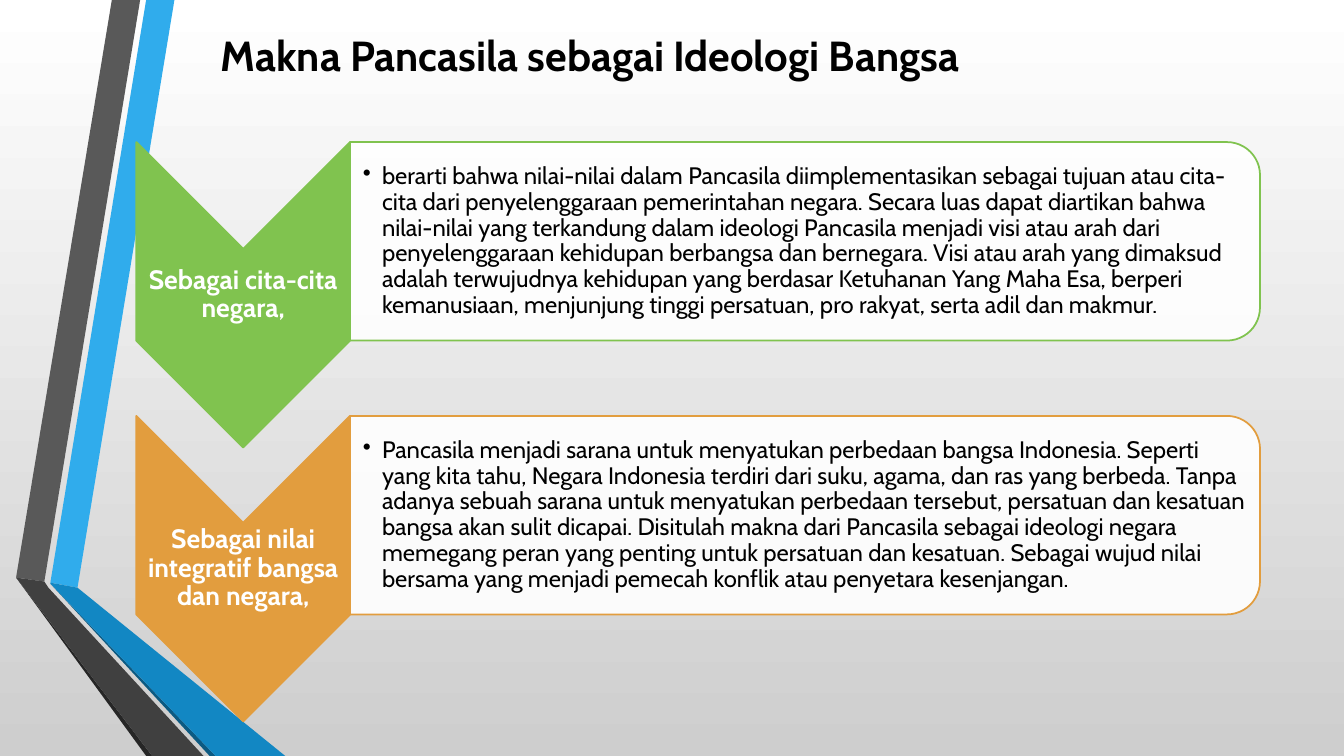
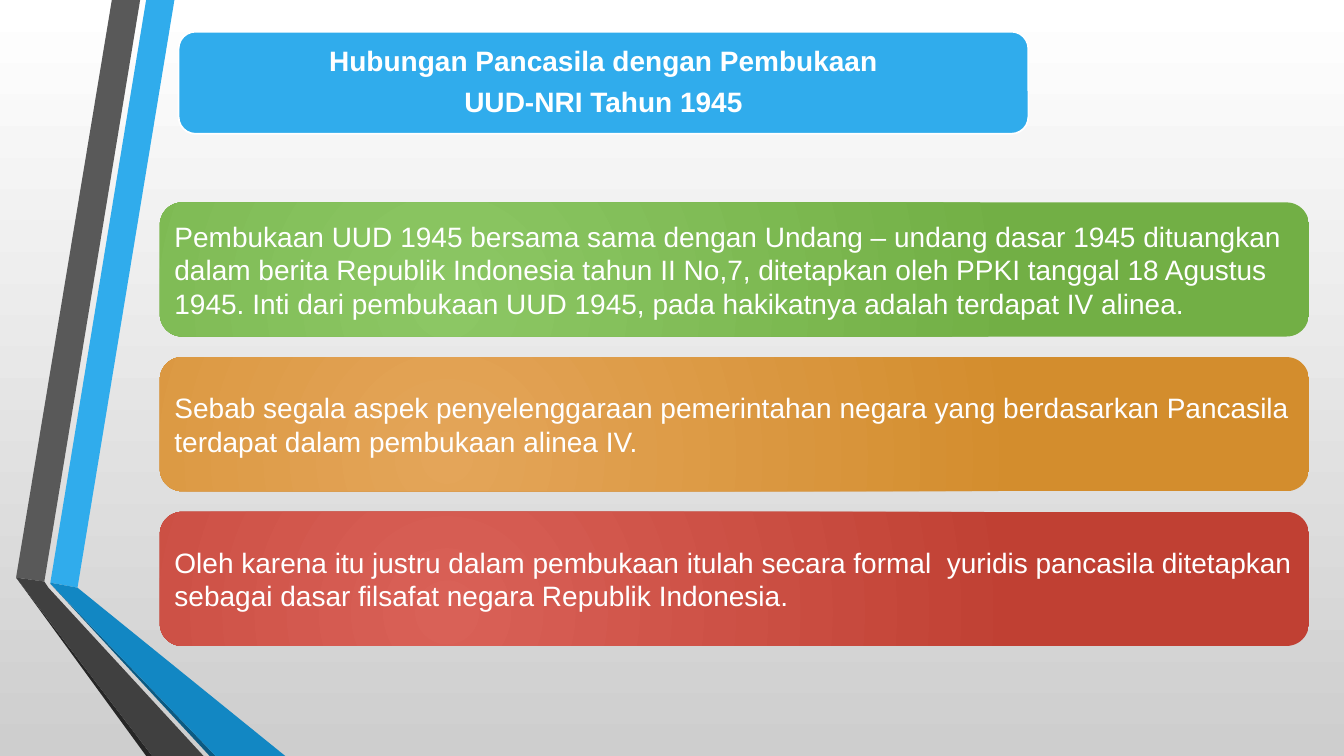
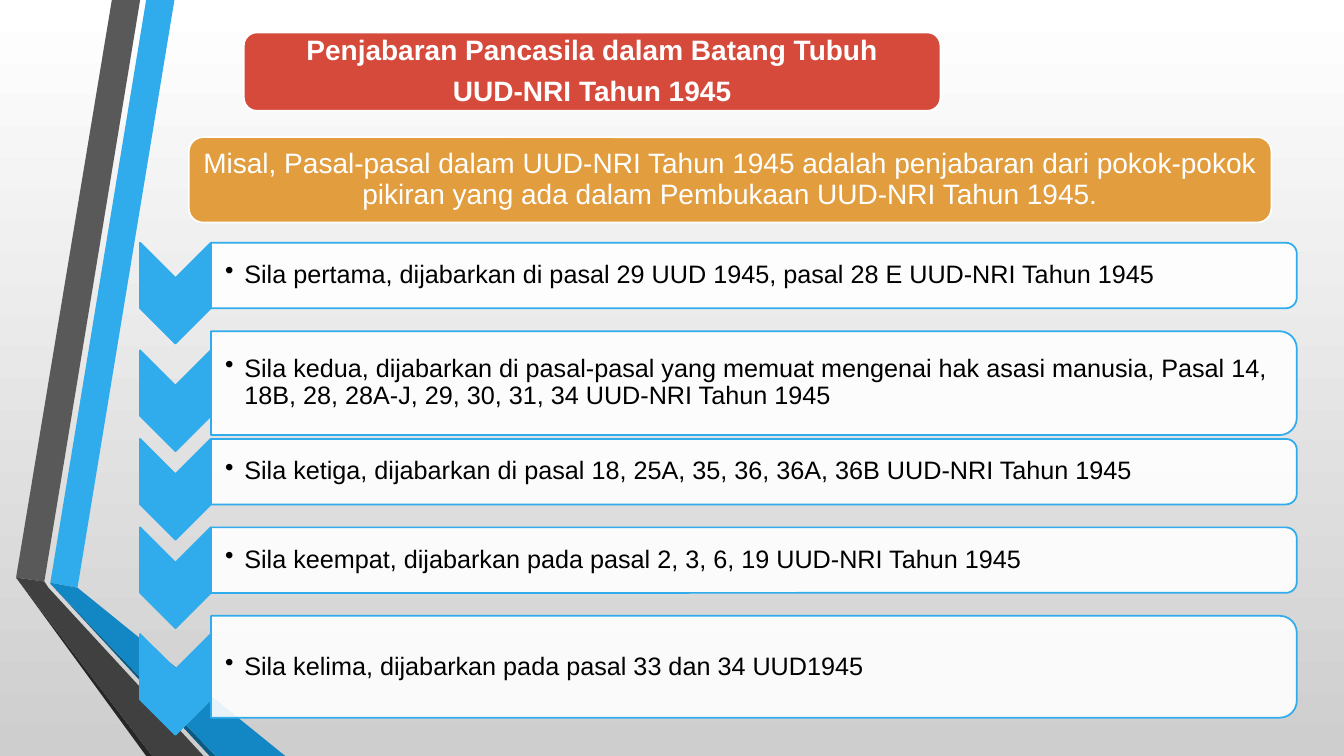
from lxml import etree
from pptx import Presentation
from pptx.dml.color import RGBColor
from pptx.enum.shapes import MSO_SHAPE
from pptx.enum.text import MSO_ANCHOR, MSO_AUTO_SIZE, PP_ALIGN
from pptx.oxml.ns import qn
from pptx.util import Pt

CHEVRON = MSO_SHAPE.CHEVRON
ROUNDED = MSO_SHAPE.ROUNDED_RECTANGLE
ROUND_TOP = MSO_SHAPE.ROUND_2_SAME_RECTANGLE
LEFT, CENTER = PP_ALIGN.LEFT, PP_ALIGN.CENTER
TOP, MIDDLE = MSO_ANCHOR.TOP, MSO_ANCHOR.MIDDLE
NO_AUTOSIZE = MSO_AUTO_SIZE.NONE

COLORS = {
    "white": "FFFFFF", "black": "000000", "silver": "CECECE",
    "blue": "30ACEC", "blue_fold": "1287C3", "blue_edge": "0C5A82",
    "gray": "595959", "gray_fold": "404040", "gray_edge": "262626",
    "green": "80C34F", "green_light": "8CC764", "green_dark": "72AF45",
    "orange": "E29D3E", "orange_light": "E4A559", "orange_dark": "D38D2D",
    "red": "D64A3B", "red_light": "D96157", "red_dark": "C04033",
}

RIBBONS = [
    ("blue", [(36, 416.2), (55.4, 419.8), (124.6, 0), (104.4, 0)]),
    ("gray", [(100.1, 0), (79.9, 0), (11.5, 412.6), (31.7, 415.4)]),
    ("gray_edge", [(11.5, 412.6), (104.4, 540), (108.7, 540)]),
    ("blue_edge", [(36, 416.9), (149.8, 540), (154.1, 540)]),
    ("blue_fold", [(36, 416.9), (154.1, 540), (203.8, 540), (55.4, 419.8), (36, 416.2)]),
    ("gray_fold", [(145.4, 540), (34.6, 419.8), (31.7, 415.4), (11.5, 412.6), (108.7, 540)]),
]

MEANINGS = [
    ("green", "Sebagai cita-cita negara,",
     "berarti bahwa nilai-nilai dalam Pancasila diimplementasikan sebagai tujuan atau "
     "cita-cita dari penyelenggaraan pemerintahan negara. Secara luas dapat diartikan bahwa "
     "nilai-nilai yang terkandung dalam ideologi Pancasila menjadi visi atau arah dari "
     "penyelenggaraan kehidupan berbangsa dan bernegara. Visi atau arah yang dimaksud adalah "
     "terwujudnya kehidupan yang berdasar Ketuhanan Yang Maha Esa, berperi kemanusiaan, "
     "menjunjung tinggi persatuan, pro rakyat, serta adil dan makmur."),
    ("orange", "Sebagai nilai integratif bangsa dan negara,",
     "Pancasila menjadi sarana untuk menyatukan perbedaan bangsa Indonesia. Seperti yang kita "
     "tahu, Negara Indonesia terdiri dari suku, agama, dan ras yang berbeda. Tanpa adanya "
     "sebuah sarana untuk menyatukan perbedaan tersebut, persatuan dan kesatuan bangsa akan "
     "sulit dicapai. Disitulah makna dari Pancasila sebagai ideologi negara memegang peran "
     "yang penting untuk persatuan dan kesatuan. Sebagai wujud nilai bersama yang menjadi "
     "pemecah konflik atau penyetara kesenjangan."),
]

RELATIONS = [
    ("green", "Pembukaan UUD 1945 bersama sama dengan Undang – undang dasar 1945 dituangkan "
     "dalam berita Republik Indonesia tahun II No,7, ditetapkan oleh PPKI tanggal 18 Agustus "
     "1945. Inti dari pembukaan UUD 1945, pada hakikatnya adalah terdapat IV alinea."),
    ("orange", "Sebab segala aspek penyelenggaraan pemerintahan negara yang berdasarkan "
     "Pancasila terdapat dalam pembukaan alinea IV."),
    ("red", "Oleh karena itu justru dalam pembukaan itulah secara formal  yuridis pancasila "
     "ditetapkan sebagai dasar filsafat negara Republik Indonesia."),
]

PRINCIPLES = [
    (46.8, "Sila pertama, dijabarkan di pasal 29 UUD 1945, pasal 28 E UUD-NRI Tahun 1945"),
    (74.2, "Sila kedua, dijabarkan di pasal-pasal yang memuat mengenai hak asasi manusia, "
     "Pasal 14, 18B, 28, 28A-J, 29, 30, 31, 34 UUD-NRI Tahun 1945"),
    (46.8, "Sila ketiga, dijabarkan di pasal 18, 25A, 35, 36, 36A, 36B UUD-NRI Tahun 1945"),
    (46.8, "Sila keempat, dijabarkan pada pasal 2, 3, 6, 19 UUD-NRI Tahun 1945"),
    (72.8, "Sila kelima, dijabarkan pada pasal 33 dan 34 UUD1945"),
]


def rgb(color):
    return RGBColor.from_string(COLORS[color])


def set_gradient(fill, start, end):
    fill.gradient()
    for stop, color in zip(fill.gradient_stops, (start, end)):
        stop.color.rgb = rgb(color)


def write(frame, text, *, size, font="Arial", color="white", bold=False, align=LEFT,
          anchor=MIDDLE, spacing=None, after=0, margins=(5.76,) * 4, bullet=False):
    frame.word_wrap = True
    frame.auto_size = NO_AUTOSIZE
    frame.vertical_anchor = anchor
    (frame.margin_left, frame.margin_top,
     frame.margin_right, frame.margin_bottom) = map(Pt, margins)
    lines = text.split("\n")
    for number, line in enumerate(lines):
        paragraph = frame.add_paragraph() if number else frame.paragraphs[0]
        paragraph.alignment = align
        if spacing:
            paragraph.line_spacing = spacing
        if number < len(lines) - 1:
            paragraph.space_after = Pt(after)
        if bullet:
            paragraph.level = 1
            properties = paragraph._p.get_or_add_pPr()
            properties.set("marL", str(Pt(13.7)))
            properties.set("indent", str(Pt(-13.7)))
            etree.SubElement(properties, qn("a:buChar")).set("char", "•")
        run = paragraph.add_run()
        run.text = line
        run.font.name = font
        run.font.size = Pt(size)
        run.font.bold = bold
        run.font.color.rgb = rgb(color)


class Deck:
    def __init__(self):
        self.prs = Presentation()
        self.prs.slide_width, self.prs.slide_height = Pt(960), Pt(540)
        self.layout = self.prs.slide_layouts[5]
        backdrop = self.prs.slide_master.background.fill
        set_gradient(backdrop, "white", "silver")
        backdrop.gradient_angle = 270
        self.new_slide()
        self.ribbons()

    def new_slide(self):
        self.slide = self.prs.slides.add_slide(self.layout)

    def ribbons(self):
        for number, (color, points) in enumerate(RIBBONS):
            corners = [(Pt(x), Pt(y)) for x, y in points]
            builder = self.slide.shapes.build_freeform(*corners[0])
            builder.add_line_segments(corners[1:])
            ribbon = builder.convert_to_shape()
            self.paint(ribbon, color)
            ribbon.element.nvSpPr.cNvPr.id = 20 + number
            self.layout.shapes.element.append(ribbon.element)

    def paint(self, shape, color, line=None):
        shape.shadow.inherit = False
        shape.fill.solid()
        shape.fill.fore_color.rgb = rgb(color)
        if line:
            shape.line.color.rgb = rgb(line)
            shape.line.width = Pt(1.25)
        else:
            shape.line.fill.background()

    def shape(self, kind, box, color, line=None):
        shape = self.slide.shapes.add_shape(kind, *map(Pt, box))
        self.paint(shape, color, line)
        return shape

    def turned(self, kind, box, color, line):
        x, y, w, h = box
        shape = self.shape(kind, (x + (w - h) / 2, y + (h - w) / 2, h, w), color, line)
        shape.rotation = 90
        return shape

    def title(self, text, box, **style):
        heading = self.slide.shapes.title
        heading.left, heading.top, heading.width, heading.height = map(Pt, box)
        self.slide.shapes.element.append(heading.element)
        write(heading.text_frame, text, bold=True, align=CENTER, **style)

    def banner_title(self, text, box, color):
        self.shape(ROUNDED, box, color, "white")
        x, y, w, h = box
        inset = h * 0.05
        self.title(text, (x + inset, y + inset, w - 2 * inset, h - 2 * inset),
                   size=20, spacing=0.9, after=8)

    def banner(self, text, box, color):
        banner = self.shape(ROUNDED, box, color, "white")
        write(banner.text_frame, text, size=20, align=CENTER, spacing=0.9)

    def glow_card(self, text, box, color):
        card = self.shape(ROUNDED, box, color)
        set_gradient(card.fill, color + "_light", color + "_dark")
        gradient = card.element.spPr.find(qn("a:gradFill"))
        gradient.remove(gradient.find(qn("a:lin")))
        glow = etree.SubElement(gradient, qn("a:path"))
        glow.set("path", "circle")
        center = etree.SubElement(glow, qn("a:fillToRect"))
        for side, share in zip("ltrb", (50000, 100000, 100000, 50000)):
            center.set(side, str(share))
        write(card.text_frame, text, size=20)

    def text(self, text, box, **style):
        label = self.slide.shapes.add_textbox(*map(Pt, box))
        write(label.text_frame, text, spacing=0.9, **style)

    def chevron(self, box, color):
        self.turned(CHEVRON, box, color, color)

    def panel(self, text, box, color, indent, **style):
        panel = self.turned(ROUND_TOP, box, "white", color)
        tint = panel.element.spPr.find(qn("a:solidFill")).find(qn("a:srgbClr"))
        etree.SubElement(tint, qn("a:alpha")).set("val", "90000")
        x, y, w, h = box
        inset = h * 0.05
        self.text(text, (x, y + inset, w - inset, h - 2 * inset), color="black",
                  margins=(indent, 0.8, 0.8, 0.8), bullet=True, **style)


def main():
    deck = Deck()
    deck.title("Makna Pancasila sebagai Ideologi Bangsa", (118, 17.3, 607, 80),
               size=30, font="Cabin", color="black", anchor=TOP, margins=(7.2, 3.6, 7.2, 3.6))
    for row, (color, label, meaning) in enumerate(MEANINGS):
        top = 101.5 + row * 195.6
        deck.chevron((97.4, top, 152.6, 218.2), color)
        deck.text(label, (97.4, top + 76.3, 152.6, 65.5), size=19, font="Cabin",
                  bold=True, align=CENTER, margins=(0.8,) * 4)
        deck.panel(meaning, (250, top, 650, 141.8), color, 9.2, size=17, font="Cabin")

    deck.new_slide()
    deck.banner_title("Hubungan Pancasila dengan Pembukaan\nUUD-NRI Tahun 1945",
                      (127.6, 22.6, 607, 73), "blue")
    for row, (color, relation) in enumerate(RELATIONS):
        deck.glow_card(relation, (114.2, 144.6 + row * 110.5, 820.8, 95.8), color)

    deck.new_slide()
    deck.banner("Misal, Pasal-pasal dalam UUD-NRI Tahun 1945 adalah penjabaran dari pokok-pokok "
                "pikiran yang ada dalam Pembukaan UUD-NRI Tahun 1945.",
                (134.9, 98, 773.3, 61), "orange")
    deck.banner_title("Penjabaran Pancasila dalam Batang Tubuh\nUUD-NRI Tahun 1945",
                      (174.2, 23.2, 497.6, 56), "red")
    top = 173.4
    for height, principle in PRINCIPLES:
        chevron_top = top + (height - 46.8) / 2
        deck.chevron((100, chevron_top, 50.6, 72), "blue")
        deck.panel(principle, (150.8, top, 775.5, height), "blue", 10, size=18)
        top = chevron_top + 63.2

    deck.prs.save("out.pptx")


if __name__ == "__main__":
    main()
